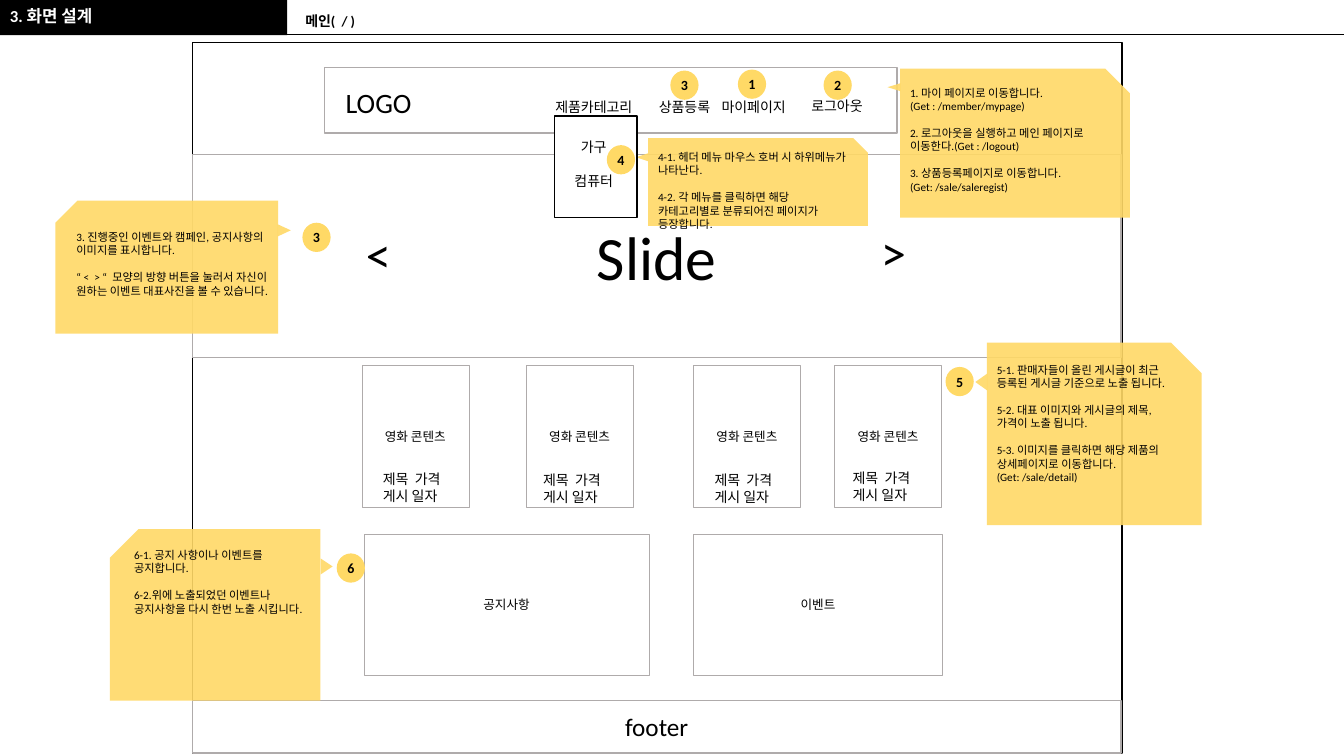
import dataclasses
import pptx
import pptx.dml.color
import pptx.enum.shapes
import pptx.enum.text
import pptx.oxml.ns
import pptx.presentation
import pptx.slide
import pptx.util
import lxml.etree

RGBColor = pptx.dml.color.RGBColor
BLACK = RGBColor(0x00, 0x00, 0x00)
WHITE = RGBColor(0xFF, 0xFF, 0xFF)
GRAY = RGBColor(0xAF, 0xAB, 0xAB)
YELLOW = RGBColor(0xFF, 0xD9, 0x66)

SHAPE = pptx.enum.shapes.MSO_SHAPE
ANCHOR = pptx.enum.text.MSO_ANCHOR
LEFT = pptx.enum.text.PP_ALIGN.LEFT
CENTER = pptx.enum.text.PP_ALIGN.CENTER
COLS, ROWS = 133.33, 75
NOTE_GAP = 9.6


@dataclasses.dataclass
class Wireframe:
    prs: pptx.presentation.Presentation
    slide: pptx.slide.Slide
    font: str = "Calibri"

    def x(self, cols):
        return round(self.prs.slide_width * cols / COLS)

    def y(self, rows):
        return round(self.prs.slide_height * rows / ROWS)

    def area(self, at):
        left, top, width, height = at
        return self.x(left), self.y(top), self.x(width), self.y(height)

    def set_text(self, tf, groups, size, align=LEFT, color=BLACK, bold=False, gap=0, spacing=None):
        tf.word_wrap = True
        fresh = True
        for group in groups:
            for i, text in enumerate(group):
                p = tf.paragraphs[0] if fresh else tf.add_paragraph()
                fmt = {"alignment": align, "line_spacing": spacing}
                if gap and i == 0 and not fresh:
                    fmt["space_before"] = pptx.util.Pt(gap)
                for name, value in fmt.items():
                    setattr(p, name, value)
                r = p.add_run()
                r.text = text
                style = {"name": self.font, "size": pptx.util.Pt(size), "bold": bold}
                for name, value in style.items():
                    setattr(r.font, name, value)
                r.font.color.rgb = color
                fresh = False

    def shape(self, kind, at, fill=WHITE, line=None, weight=1.0, alpha=None, flip=False):
        sp = self.slide.shapes.add_shape(kind, *self.area(at))
        sp.shadow.inherit = False
        sp.fill.solid()
        sp.fill.fore_color.rgb = fill
        if line is None:
            sp.line.fill.background()
        else:
            sp.line.color.rgb = line
            sp.line.width = pptx.util.Pt(weight)
        qn = pptx.oxml.ns.qn
        if alpha:
            clr = sp._element.spPr.find(qn("a:solidFill")).find(qn("a:srgbClr"))
            lxml.etree.SubElement(clr, qn("a:alpha")).set("val", str(alpha * 1000))
        if flip:
            sp._element.spPr.find(qn("a:xfrm")).set("flipH", "1")
        return sp

    def panel(self, at, label=None, size=9, line=GRAY, weight=1.0):
        sp = self.shape(SHAPE.RECTANGLE, at, line=line, weight=weight)
        if label:
            sp.text_frame.vertical_anchor = ANCHOR.MIDDLE
            self.set_text(sp.text_frame, [[label]], size, CENTER)

    def text(self, at, lines, size=10, **style):
        sp = self.slide.shapes.add_textbox(*self.area(at))
        self.set_text(sp.text_frame, [lines], size, **style)

    def rule(self, start, end, row):
        ends = self.x(start), self.y(row), self.x(end), self.y(row)
        line = self.slide.shapes.add_connector(pptx.enum.shapes.MSO_CONNECTOR.STRAIGHT, *ends)
        line.line.color.rgb = BLACK
        line.line.width = pptx.util.Pt(0.5)
        lxml.etree.SubElement(line._element.spPr, pptx.oxml.ns.qn("a:effectLst"))

    def badge(self, left, top, number):
        sp = self.shape(SHAPE.OVAL, (left, top, 2.8, 2.9), YELLOW)
        tf = sp.text_frame
        margins = dict.fromkeys(["margin_left", "margin_right", "margin_top", "margin_bottom"], 0)
        for name, value in {**margins, "vertical_anchor": ANCHOR.MIDDLE}.items():
            setattr(tf, name, value)
        self.set_text(tf, [[number]], 10, CENTER, bold=True)
        tf.word_wrap = False

    def note(self, at, tip, groups, points_right=False, drop=0):
        sp = self.shape(SHAPE.SNIP_1_RECTANGLE, at, YELLOW, alpha=90, flip=points_right)
        sp.text_frame.vertical_anchor = ANCHOR.TOP
        sp.text_frame.margin_top = pptx.util.Pt(3.6 + drop)
        self.set_text(sp.text_frame, groups, 8, gap=NOTE_GAP)
        tri = self.shape(SHAPE.ISOSCELES_TRIANGLE, tip, YELLOW, alpha=90, flip=not points_right)
        tri.rotation = 90 if points_right else 270


prs = pptx.Presentation()
prs.slide_width = pptx.util.Inches(13.33)
prs.slide_height = pptx.util.Inches(7.5)
s = Wireframe(prs, prs.slides.add_slide(prs.slide_layouts[6]))

s.shape(SHAPE.RECTANGLE, (0, 0, 28.5, 3.5), BLACK)
s.rule(27.6, COLS, 3.4)
s.text((0, 0.3, 28.5, 3.2), ["3. 화면 설계"], 12, color=WHITE, bold=True, spacing=0.9)
s.text((29.3, 0.9, 85.7, 2.6), ["메인(  / )"], bold=True, spacing=0.9)

s.panel((19.1, 4.2, 92.2, 70.5), line=BLACK)
s.panel((19.1, 15.3, 92.1, 20.2), "Slide", 44)
s.panel((19.1, 69.5, 92.1, 5.2), "footer", 18)
s.panel((32.2, 6.7, 56.8, 6.5))

s.text((33.3, 8, 10.7, 4.4), ["LOGO"], 20)
for left, top, width, label, align in [
    (54.1, 9.3, 11, "제품카테고리", LEFT),
    (61.4, 9.3, 13, "상품등록", CENTER),
    (70.6, 9.3, 10.2, "마이페이지", LEFT),
    (79.5, 9.2, 8.1, "로그아웃", LEFT),
]:
    s.text((left, top, width, 2.7), [label], align=align)

s.note((64.3, 13.7, 21.8, 8.7), (63.3, 15, 0.8, 1.2), [
    ["4-1. 헤더 메뉴 마우스 호버 시 하위메뉴가 나타난다."],
    ["4-2. 각 메뉴를 클릭하면 해당 카테고리별로 분류되어진 페이지가 등장합니다."],
])
s.panel((55, 11.5, 8.2, 10.1), line=BLACK)
for i, item in enumerate(["가구", "컴퓨터"]):
    s.text((53.1, 13.3 + 3.3 * i, 11.6, 2.7), [item], align=CENTER)

for left, top, arrow in [(35.3, 21.6, "<"), (86.4, 21.4, ">")]:
    s.text((left, top, 4.4, 7.1), [arrow], 36)

for left, text_left, text_top in [
    (35.9, 37, 46.2), (52.2, 52.9, 46.3), (68.8, 69.9, 46.3), (82.8, 83.6, 46.1),
]:
    s.panel((left, 36.2, 10.6, 14.1), "영화 콘텐츠", weight=0.25)
    s.text((text_left, text_top, 10.5, 4.4), ["제목  가격", "게시 일자"])

for left, width, label in [(36.1, 28.3, "공지사항"), (68.8, 24.7, "이벤트")]:
    s.panel((left, 53, width, 14), label, weight=0.25)

s.note((5.5, 19.9, 22.1, 13.2), (27.6, 22.2, 1.2, 1.3), [
    ["3. 진행중인 이벤트와 캠페인, 공지사항의 이미지를 표시합니다."],
    ["“ <  > “  모양의 방향 버튼을 눌러서 자신이 원하는 이벤트 대표사진을 볼 수 있습니다."],
], points_right=True, drop=NOTE_GAP)
s.note((10.9, 52.5, 20.9, 17), (31.6, 55.6, 1.6, 1.2), [
    ["6-1. 공지 사항이나 이벤트를 공지합니다."],
    ["6-2.위에 노출되었던 이벤트나 공지사항을 다시 한번 노출 시킵니다."],
], points_right=True)
s.note((97.9, 34, 21.3, 18.1), (96.5, 37.3, 1.7, 1.2), [
    ["5-1. 판매자들이 올린 게시글이 최근 등록된 게시글 기준으로 노출 됩니다."],
    ["5-2. 대표 이미지와 게시글의 제목, 가격이 노출 됩니다."],
    ["5-3. 이미지를 클릭하면 해당 제품의 상세페이지로 이동합니다.", "(Get: /sale/detail)"],
])
s.note((89.3, 6.8, 22.8, 14.8), (88.3, 8, 0.8, 1.3), [
    ["1. 마이 페이지로 이동합니다.", "(Get : /member/mypage)"],
    ["2. 로그아웃을 실행하고 메인 페이지로 이동한다.(Get : /logout)"],
    ["3. 상품등록페이지로 이동합니다.", "(Get: /sale/saleregist)"],
])

for left, top, number in [
    (30, 22.1, "3"), (33.4, 54.9, "6"), (93.8, 36.4, "5"), (73.2, 6.9, "1"),
    (81.7, 7, "2"), (60.2, 14.4, "4"), (66.5, 7, "3"),
]:
    s.badge(left, top, number)

prs.save("out.pptx")
